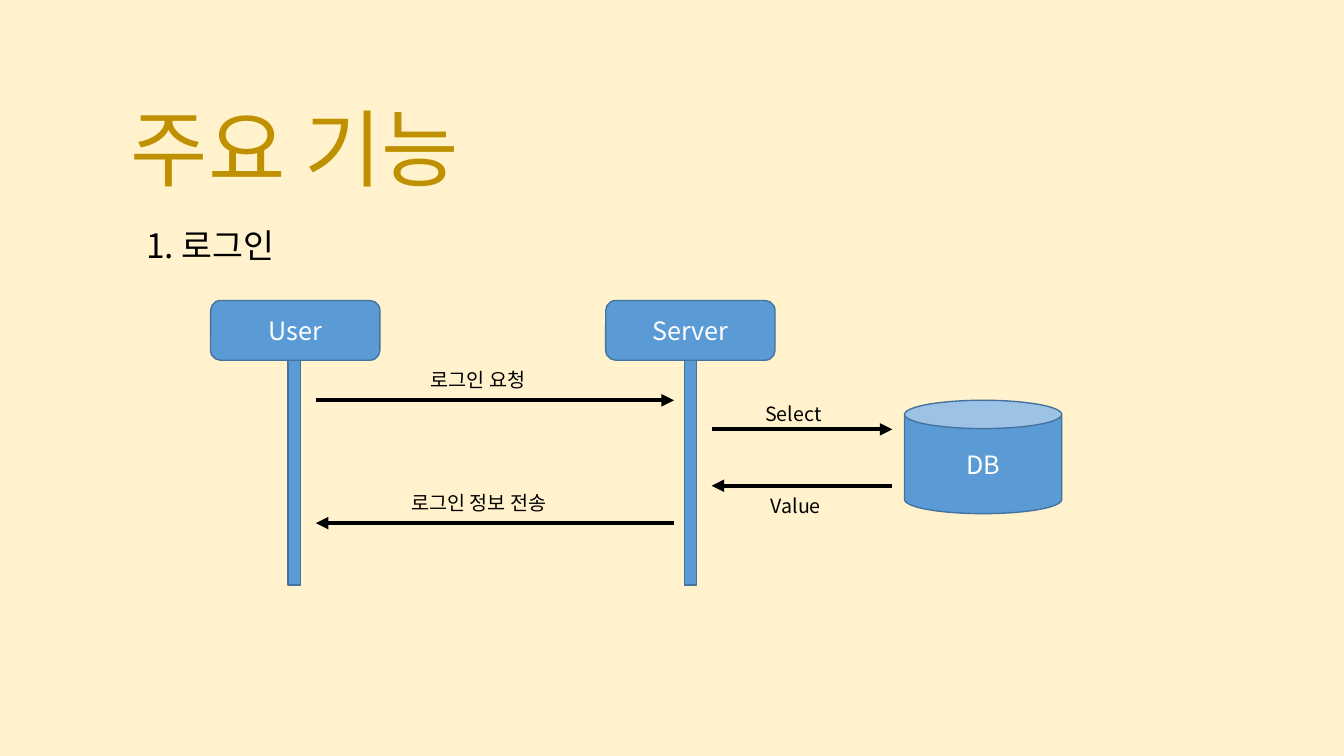
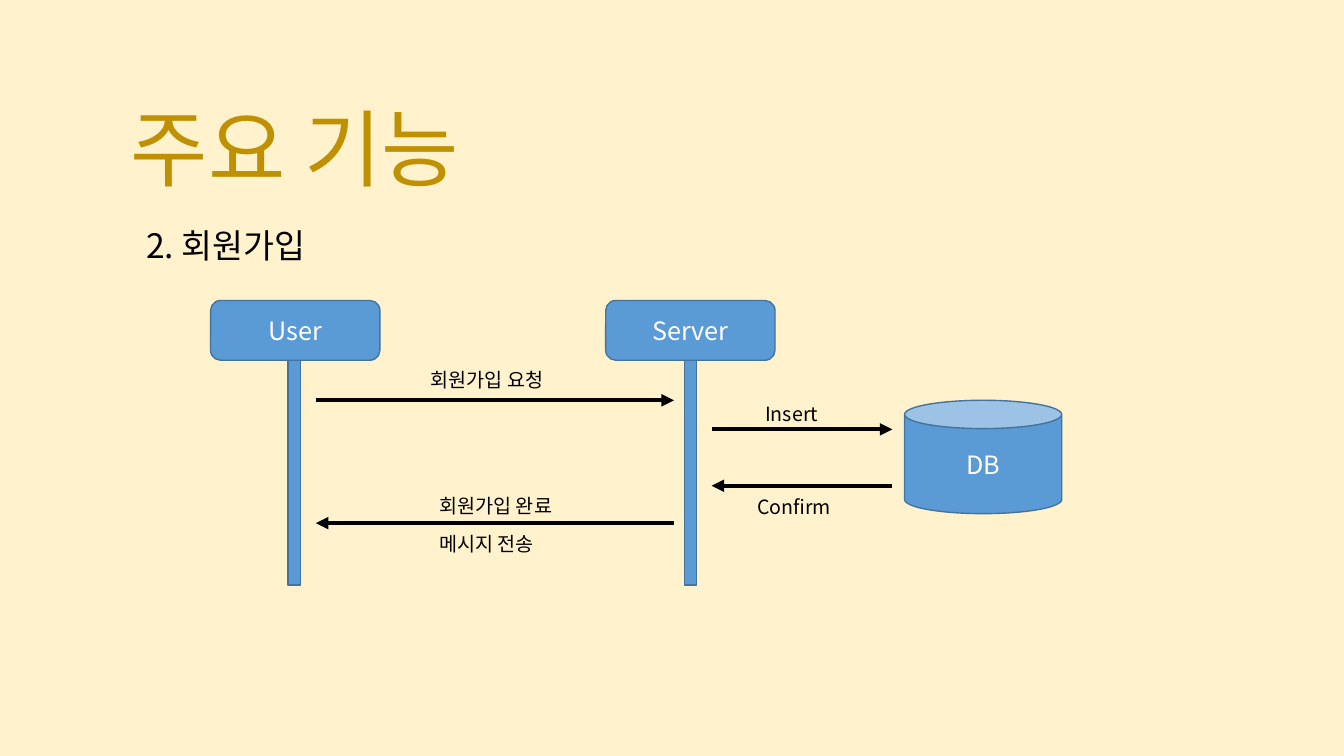
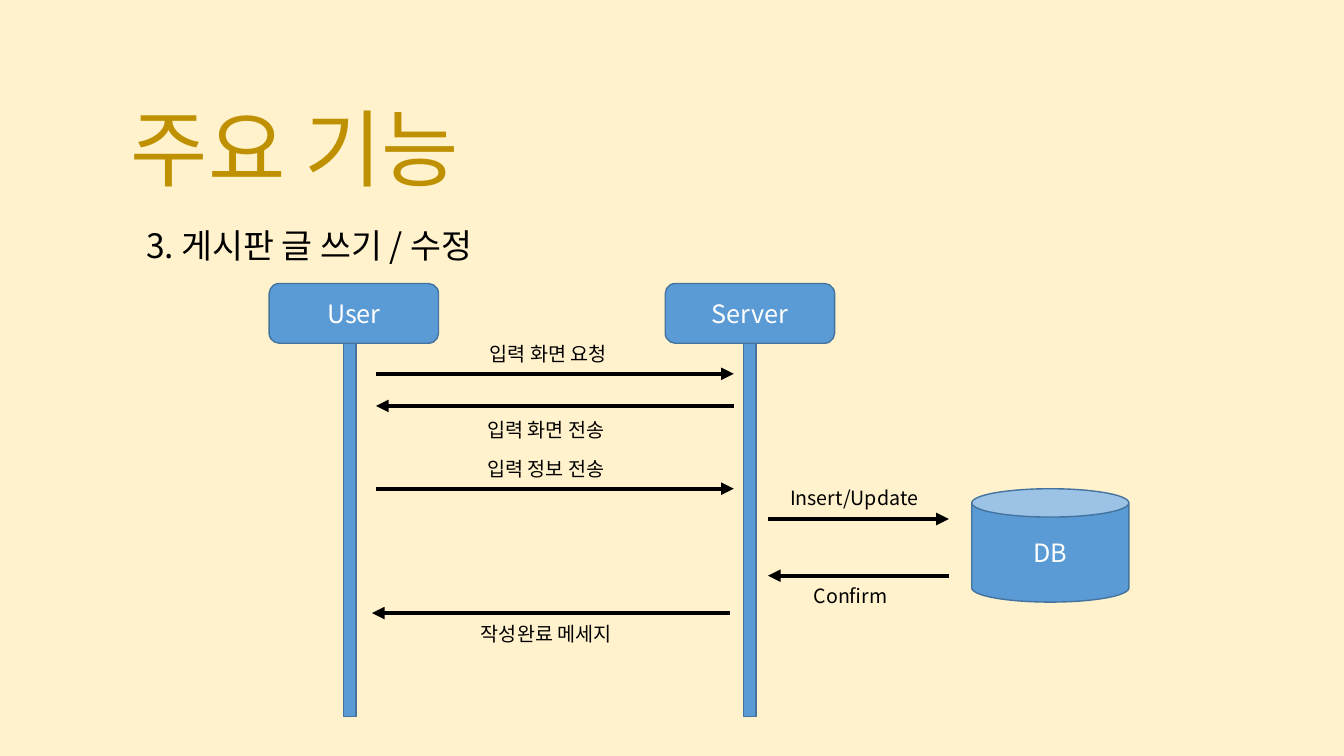
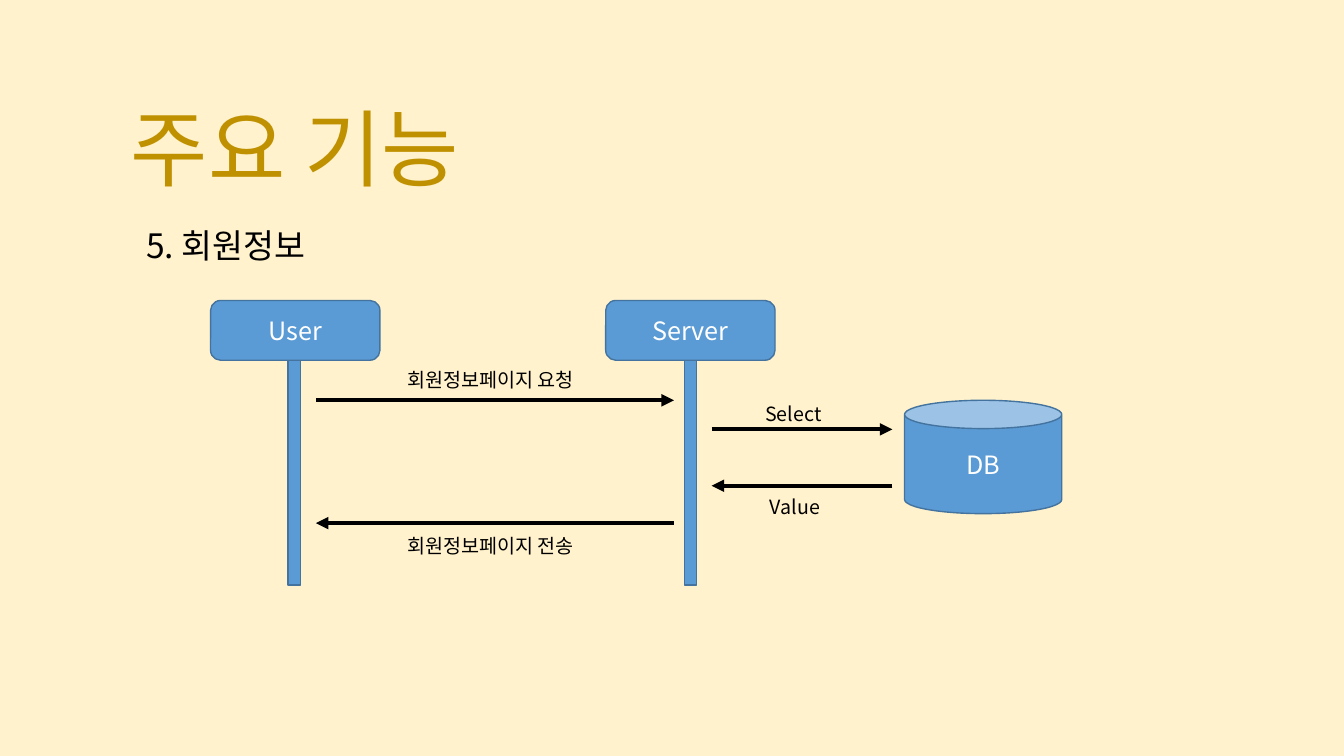
from dataclasses import dataclass

from lxml import etree
from pptx import Presentation
from pptx.dml.color import RGBColor
from pptx.enum.shapes import MSO_CONNECTOR, MSO_SHAPE
from pptx.enum.text import MSO_ANCHOR, MSO_AUTO_SIZE, PP_ALIGN
from pptx.oxml.ns import qn
from pptx.util import Inches, Pt

ROUNDED, BAR, CAN = MSO_SHAPE.ROUNDED_RECTANGLE, MSO_SHAPE.RECTANGLE, MSO_SHAPE.CAN
STRAIGHT = MSO_CONNECTOR.STRAIGHT
TOP, MIDDLE, BOTTOM = MSO_ANCHOR.TOP, MSO_ANCHOR.MIDDLE, MSO_ANCHOR.BOTTOM
LEFT, CENTER = PP_ALIGN.LEFT, PP_ALIGN.CENTER
GROW = MSO_AUTO_SIZE.SHAPE_TO_FIT_TEXT

WIDTH, HEIGHT = Inches(13.33), Inches(7.5)


@dataclass(frozen=True)
class Theme:
    font: str = "Noto Sans CJK KR"
    background: str = "FFF2CC"
    title: str = "BF9000"
    ink: str = "000000"
    fill: str = "5B9BD5"
    outline: str = "43739E"
    on_fill: str = "FFFFFF"
    title_size: int = 60
    heading_size: int = 24
    actor_size: int = 18
    label_size: int = 14
    label_pitch: int = 27
    outline_width: int = 1
    arrow_width: int = 3


# All lengths below are percentages of the slide's width or height.
@dataclass(frozen=True)
class Layout:
    top: float
    foot: float
    user: float
    user_line: float
    server: float
    database: tuple
    user_lane: tuple
    database_lane: tuple


@dataclass(frozen=True)
class Message:
    lane: str
    forward: bool
    row: float
    lines: tuple
    label: tuple  # left, top, width
    shift: float = 0


class Deck:
    ACTOR_WIDTH, ACTOR_HEIGHT = 12.6, 7.9
    LIFELINE_WIDTH = 0.92
    DATABASE_WIDTH, DATABASE_HEIGHT = 11.7, 15
    LABEL_HEIGHT = 4.5

    def __init__(self, theme):
        self.theme = theme
        self.presentation = Presentation()
        self.presentation.slide_width = WIDTH
        self.presentation.slide_height = HEIGHT
        background = self.presentation.slide_master.background.fill
        background.solid()
        background.fore_color.rgb = RGBColor.from_string(theme.background)
        self.slide = None

    def x(self, share):
        return round(WIDTH * share / 100)

    def y(self, share):
        return round(HEIGHT * share / 100)

    def box(self, left, top, width, height):
        return self.x(left), self.y(top), self.x(width), self.y(height)

    def style(self, paragraph, size, color, align=LEFT):
        paragraph.alignment = align
        font = paragraph.font
        font.size = Pt(size)
        font.name = self.theme.font
        font.color.rgb = RGBColor.from_string(color)
        # Korean letters take the East Asian typeface
        defaults = paragraph._p.pPr.find(qn("a:defRPr"))
        etree.SubElement(defaults, qn("a:ea")).set("typeface", self.theme.font)

    def text(self, area, lines, size, color, anchor=TOP, wrap=True):
        frame = self.slide.shapes.add_textbox(*self.box(*area)).text_frame
        frame.word_wrap = wrap
        frame.vertical_anchor = anchor
        frame.text = "\n".join(lines)
        for paragraph in frame.paragraphs:
            self.style(paragraph, size, color)
        return frame

    def title(self, text):
        frame = self.text((9, 12.15, 75, 14.8), [text], self.theme.title_size,
                          self.theme.title, BOTTOM)
        frame.paragraphs[0].line_spacing = 0.9

    def heading(self, text):
        frame = self.text((9, 29.75, 75, 59.85), [text],
                          self.theme.heading_size, self.theme.ink)
        frame.margin_left = Inches(0.25)
        paragraph = frame.paragraphs[0]
        paragraph.line_spacing = 0.9
        paragraph.space_before = Pt(10)

    def label(self, lines, left, top, width):
        frame = self.text((left, top, width, self.LABEL_HEIGHT), lines,
                          self.theme.label_size, self.theme.ink, wrap=False)
        frame.auto_size = GROW
        for paragraph in frame.paragraphs[1:]:
            paragraph.line_spacing = Pt(self.theme.label_pitch)

    def block(self, kind, area, text=""):
        shape = self.slide.shapes.add_shape(kind, *self.box(*area))
        shape.shadow.inherit = False
        shape.fill.solid()
        shape.fill.fore_color.rgb = RGBColor.from_string(self.theme.fill)
        shape.line.color.rgb = RGBColor.from_string(self.theme.outline)
        shape.line.width = Pt(self.theme.outline_width)
        if text:
            frame = shape.text_frame
            frame.text = text
            frame.vertical_anchor = MIDDLE
            self.style(frame.paragraphs[0], self.theme.actor_size,
                       self.theme.on_fill, CENTER)

    def actor(self, name, center, line_center, top, foot):
        self.block(ROUNDED, (center - self.ACTOR_WIDTH / 2, top,
                             self.ACTOR_WIDTH, self.ACTOR_HEIGHT), name)
        start = top + self.ACTOR_HEIGHT
        self.block(BAR, (line_center - self.LIFELINE_WIDTH / 2, start,
                         self.LIFELINE_WIDTH, foot - start))

    def arrow(self, start, end, row):
        connector = self.slide.shapes.add_connector(
            STRAIGHT, self.x(start), self.y(row), self.x(end), self.y(row))
        connector.line.color.rgb = RGBColor.from_string(self.theme.ink)
        connector.line.width = Pt(self.theme.arrow_width)
        line = connector.line._get_or_add_ln()
        etree.SubElement(line, qn("a:tailEnd")).set("type", "triangle")
        etree.SubElement(connector._element.spPr, qn("a:effectLst"))

    def message(self, layout, message):
        lane = layout.user_lane if message.lane == USER else layout.database_lane
        start, end = lane if message.forward else reversed(lane)
        self.arrow(start + message.shift, end + message.shift, message.row)
        self.label(message.lines, *message.label)

    def sequence(self, heading, layout, messages):
        self.slide = self.presentation.slides.add_slide(
            self.presentation.slide_layouts[6])
        self.title("주요 기능")
        self.heading(heading)
        self.actor("User", layout.user, layout.user_line, layout.top, layout.foot)
        self.actor("Server", layout.server, layout.server, layout.top, layout.foot)
        self.block(CAN, (*layout.database, self.DATABASE_WIDTH,
                         self.DATABASE_HEIGHT), "DB")
        for message in messages:
            self.message(layout, message)


USER, DATABASE = "user", "database"

# Geometry of the short and the long sequence
SHORT = Layout(top=39.75, foot=77.4, user=21.97, user_line=21.9, server=51.37,
               database=(67.3, 52.95), user_lane=(23.5, 50.15),
               database_lane=(52.95, 66.4))
LONG = Layout(top=37.5, foot=94.8, user=26.33, user_line=26.03, server=55.8,
              database=(72.3, 64.65), user_lane=(27.98, 54.6),
              database_lane=(57.15, 70.6))


def short_messages(request, query, result, reply):
    """Request, query, result and reply, each as (lines, label place)."""
    return [Message(USER, True, 52.95, *request),
            Message(DATABASE, True, 56.8, *query),
            Message(DATABASE, False, 64.25, *result),
            Message(USER, False, 69.2, *reply)]


SELECT = (("Select",), (56.2, 52.55, 6.75))

# Heading, geometry and messages of each slide
SEQUENCES = [
    ("1. 로그인", SHORT, short_messages(
        (("로그인 요청",), (31.3, 48, 9.1)),
        SELECT,
        (("Value",), (56.6, 64.7, 6.15)),
        (("로그인 정보 전송",), (29.85, 64.3, 12.8)))),
    ("2. 회원가입", SHORT, short_messages(
        (("회원가입 요청",), (31.3, 48, 10.5)),
        (("Insert",), (56.2, 52.55, 6.6)),
        (("Confirm",), (55.6, 64.8, 8.2)),
        (("회원가입 완료", "메시지 전송"), (31.95, 64.7, 10.5)))),
    ("3. 게시판 글 쓰기 / 수정", LONG, [
        Message(USER, True, 49.45, ("입력 화면 요청",), (35.7, 44.55, 10.95)),
        Message(USER, False, 53.7, ("입력 화면 전송",), (35.5, 54.65, 10.95)),
        Message(USER, True, 64.65, ("입력 정보 전송",), (35.5, 59.75, 10.95)),
        Message(DATABASE, True, 68.65, ("Insert/Update",), (58.05, 63.6, 12.5)),
        Message(DATABASE, False, 76.15, ("Confirm",), (59.8, 76.55, 8.2)),
        Message(USER, False, 81.1, ("작성완료 메세지",), (35.05, 81.6, 11.95),
                shift=-0.3)]),
    ("5. 회원정보", SHORT, short_messages(
        (("회원정보페이지 요청",), (29.55, 48, 14.8)),
        SELECT,
        (("Value",), (56.55, 64.8, 6.15)),
        (("회원정보페이지 전송",), (29.55, 70, 14.8)))),
]


def main():
    deck = Deck(Theme())
    for heading, layout, messages in SEQUENCES:
        deck.sequence(heading, layout, messages)
    deck.presentation.save("out.pptx")


if __name__ == "__main__":
    main()
